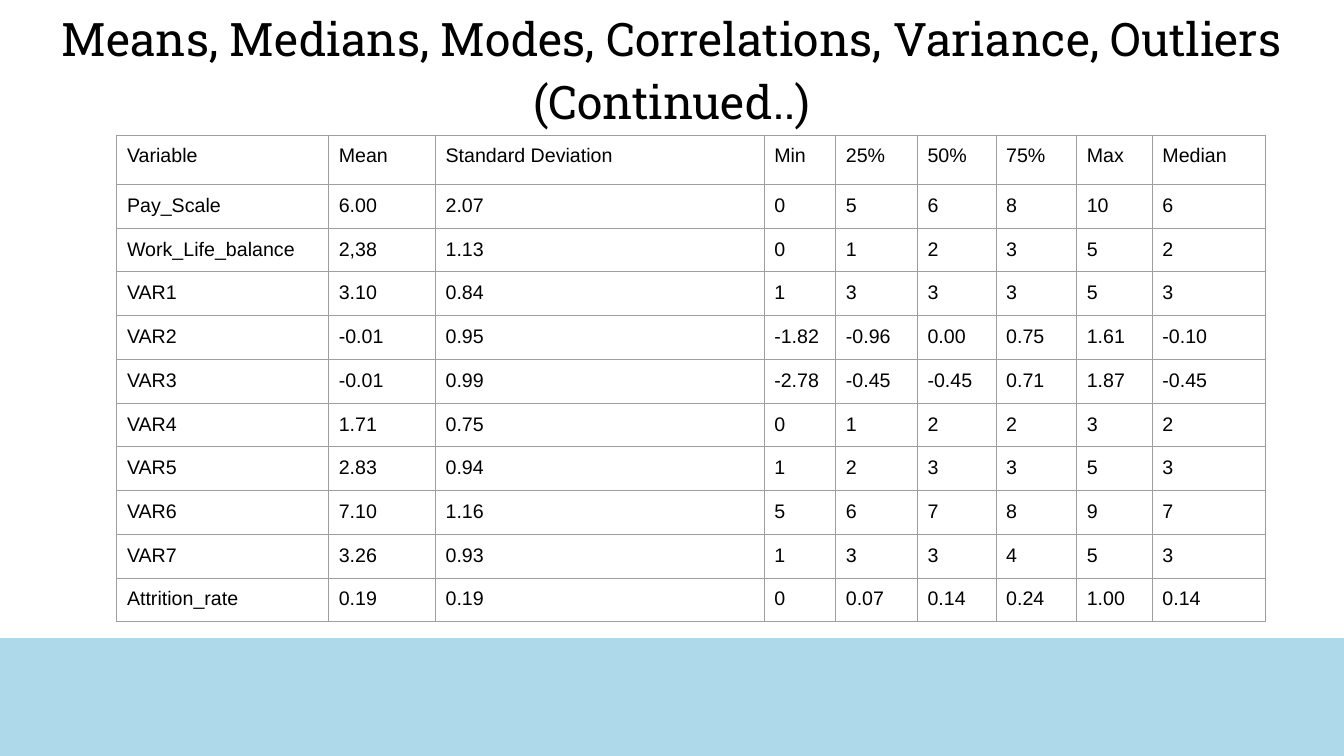
from lxml import etree
from pptx import Presentation
from pptx.dml.color import RGBColor
from pptx.enum import shapes, text
from pptx.oxml import ns
from pptx.util import Inches, Pt

BLACK = RGBColor(0x00, 0x00, 0x00)
BAND_BLUE = RGBColor(0xAD, 0xD9, 0xEA)
GRID_GREY = RGBColor(0x9E, 0x9E, 0x9E)

COLUMN_WIDTHS = [2.1, 1.06, 3.26, 0.71, 0.81, 0.78, 0.8, 0.75, 1.12]
STATISTICS = [
    ["Variable", "Mean", "Standard Deviation", "Min", "25%", "50%", "75%", "Max", "Median"],
    ["Pay_Scale", "6.00", "2.07", "0", "5", "6", "8", "10", "6"],
    ["Work_Life_balance", "2,38", "1.13", "0", "1", "2", "3", "5", "2"],
    ["VAR1", "3.10", "0.84", "1", "3", "3", "3", "5", "3"],
    ["VAR2", "-0.01", "0.95", "-1.82", "-0.96", "0.00", "0.75", "1.61", "-0.10"],
    ["VAR3", "-0.01", "0.99", "-2.78", "-0.45", "-0.45", "0.71", "1.87", "-0.45"],
    ["VAR4", "1.71", "0.75", "0", "1", "2", "2", "3", "2"],
    ["VAR5", "2.83", "0.94", "1", "2", "3", "3", "5", "3"],
    ["VAR6", "7.10", "1.16", "5", "6", "7", "8", "9", "7"],
    ["VAR7", "3.26", "0.93", "1", "3", "3", "4", "5", "3"],
    ["Attrition_rate", "0.19", "0.19", "0", "0.07", "0.14", "0.24", "1.00", "0.14"],
]
HEADER_HEIGHT = Inches(0.49)
BODY_HEIGHT = Inches(4.33)


def add_borders(cell):
    properties = cell._tc.get_or_add_tcPr()
    for side in ("a:lnL", "a:lnR", "a:lnT", "a:lnB"):
        line = etree.SubElement(properties, ns.qn(side), w=str(Pt(0.75)))
        fill = etree.SubElement(line, ns.qn("a:solidFill"))
        etree.SubElement(fill, ns.qn("a:srgbClr"), val=str(GRID_GREY))


deck = Presentation()
deck.slide_width = Inches(13.33)
deck.slide_height = Inches(7.5)
page = deck.slides.add_slide(deck.slide_layouts[6])

# Bottom band
band = page.shapes.add_shape(
    shapes.MSO_SHAPE.RECTANGLE, 0, Inches(6.33), deck.slide_width, Inches(1.17))
band.shadow.inherit = False
band.fill.solid()
band.fill.fore_color.rgb = BAND_BLUE
band.line.fill.background()

# Title
title = page.shapes.add_textbox(Inches(0.21), Inches(0.06), Inches(12.91), Inches(1.19))
frame = title.text_frame
frame.word_wrap = True
frame.vertical_anchor = text.MSO_ANCHOR.MIDDLE
frame.margin_left = frame.margin_right = frame.margin_top = frame.margin_bottom = 0
frame.text = "Means, Medians, Modes, Correlations, Variance, Outliers (Continued..)"
para = frame.paragraphs[0]
para.alignment = text.PP_ALIGN.CENTER
para.line_spacing = 1.14
span = para.runs[0]
span.font.name = "Roboto Slab"
span.font.size = Pt(33)
span.font.color.rgb = BLACK

# Statistics table
table = page.shapes.add_table(
    len(STATISTICS), len(COLUMN_WIDTHS), Inches(1.16), Inches(1.34),
    Inches(sum(COLUMN_WIDTHS)), HEADER_HEIGHT + BODY_HEIGHT).table
table.first_row = False
table.horz_banding = False
for column, width in zip(table.columns, COLUMN_WIDTHS):
    column.width = Inches(width)

for index, (row, values) in enumerate(zip(table.rows, STATISTICS)):
    row.height = HEADER_HEIGHT if index == 0 else BODY_HEIGHT // (len(STATISTICS) - 1)
    for cell, value in zip(row.cells, values):
        cell.margin_left = cell.margin_right = Inches(0.1)
        cell.margin_top = cell.margin_bottom = Inches(0.1)
        add_borders(cell)
        cell.fill.background()
        cell.text_frame.text = value
        span = cell.text_frame.paragraphs[0].runs[0]
        span.font.name = "Arial"
        span.font.size = Pt(14)
        span.font.color.rgb = BLACK

deck.save("out.pptx")
